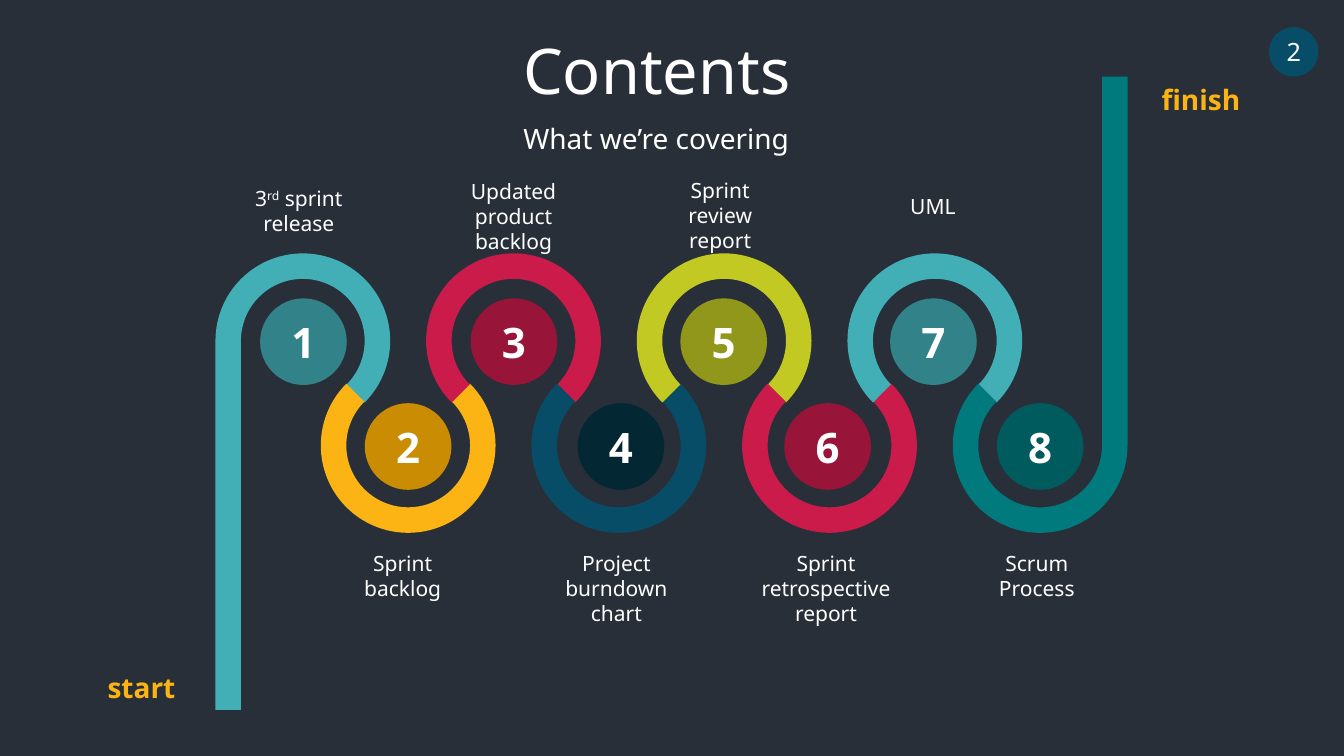
from math import cos, radians, sin, tan

from pptx import Presentation
from pptx.dml.color import RGBColor as RGB
from pptx.enum.shapes import MSO_SHAPE as SHAPE
from pptx.enum.text import MSO_ANCHOR as ANCHOR, MSO_AUTO_SIZE as FIT, PP_ALIGN as ALIGN
from pptx.oxml import parse_xml as from_xml
from pptx.oxml.ns import nsdecls as spaces, qn
from pptx.util import Pt

HEX = {
    "back": "282F39", "white": "FFFFFF", "gold": "FCB414", "sky": "42AFB6",
    "red": "CB1B4A", "blue": "074D67", "lime": "C2C923", "teal": "007A7D",
    "dark sky": "318389", "dark gold": "C98C03", "dark red": "981438",
    "dark blue": "042734", "dark lime": "91971A", "dark teal": "005B5E",
}
BASE = {"name": "Noto Sans", "size": Pt(15), "bold": False}
HEAD = {**BASE, "size": Pt(45)}
LEAD = {**BASE, "size": Pt(20)}
MARK = {**LEAD, "bold": True}
DIGIT = {**BASE, "size": Pt(30), "bold": True}
PAGE = {**BASE, "size": Pt(18)}

# Road rings: first centre, step, rows and radii in points
LEFT, STEP, ROWS = 216.3, 75.24, (243.4, 318.2)
OUTER, INNER = 62.4, 44.2
TURN = 45  # degrees in each curve of a ring
START, FINISH = 507, 54.7  # loose ends of the road
DISC, DISC_ROWS = 61.9, (213.1, 288)

# Ring colour, disc left, label, label left, top, width, height
STEPS = [
    ("sky", 185.8, ["3^rd^ sprint release"], 166.3, 128.9, 94.3, 43.9),
    ("gold", 260.6, ["Sprint", "backlog"], 240.5, 389.5, 94.3, 43.9),
    ("red", 336.2, ["Updated product backlog"], 319.7, 123.8, 94.3, 61.9),
    ("blue", 412.6, ["Project burndown chart"], 393.1, 389.5, 94.3, 61.9),
    ("lime", 486, ["Sprint review report"], 467.3, 123.1, 94.3, 61.9),
    ("red", 560.2, ["Sprint retrospective report"], 535.7, 389.5, 108.7, 61.9),
    ("sky", 635.8, ["UML"], 619.2, 134.6, 94.3, 25.2),
    ("teal", 712.1, ["Scrum Process"], 693.4, 389.5, 94.3, 43.9),
]


def paint(shape, tone):
    shape.fill.solid()
    shape.fill.fore_color.rgb = RGB.from_string(HEX[tone])
    shape.line.fill.background()
    shape.shadow.inherit = False


def write(frame, lines, style, tone="white"):
    """Fill a frame with centred lines; text between carets is raised."""
    for row, line in enumerate(lines):
        para = frame.add_paragraph() if row else frame.paragraphs[0]
        para.alignment = ALIGN.CENTER
        for part, text in enumerate(line.split("^")):
            run = para.add_run()
            run.text = text
            for key, value in style.items():
                setattr(run.font, key, value)
            run.font.color.rgb = RGB.from_string(HEX[tone])
            if part % 2:
                run._r.get_or_add_rPr().set("baseline", "30000")


def add_text(slide, lines, box, style, tone="white"):
    frame = slide.shapes.add_textbox(*map(Pt, box)).text_frame
    frame.word_wrap = True
    frame.auto_size = FIT.SHAPE_TO_FIT_TEXT
    write(frame, lines, style, tone)


def add_disc(slide, text, left, top, size, tone, style, wrap=True):
    disc = slide.shapes.add_shape(SHAPE.OVAL, Pt(left), Pt(top), Pt(size), Pt(size))
    paint(disc, tone)
    disc.text_frame.word_wrap = wrap
    disc.text_frame.vertical_anchor = ANCHOR.MIDDLE
    write(disc.text_frame, [text], style)


def arc(mid, row, size, first, last):
    """List the knots and handles of an arc, three for each curve."""
    pull = 4 / 3 * tan(radians(TURN / 4))
    dots = []
    for angle in range(first, last + 1, TURN):
        c, s = cos(radians(angle)), sin(radians(angle))
        dots += [(mid + size * (c - k * s), row + size * (s + k * c))
                 for k in (-pull, 0, pull)]
    return dots[1:-1]


def bend(lines):
    """Join each three line ends into one curve."""
    for trio in zip(*[iter(lines)] * 3):
        curve = from_xml(f"<a:cubicBezTo {spaces('a')}/>")
        trio[0].addprevious(curve)
        for line in trio:
            curve.append(line[0])
            line.getparent().remove(line)


def add_ring(slide, mid, row, first, last, tone, tail=None):
    """Draw an open ring, with a straight tail at its first end if given."""
    rim = arc(mid, row, OUTER, first, last)
    hole = arc(mid, row, INNER, first, last)[::-1]
    ends = [] if tail is None else [(hole[-1][0], tail), (rim[0][0], tail)]
    dots = [(Pt(x), Pt(y)) for x, y in rim + hole + ends]
    form = slide.shapes.build_freeform(*dots[0])
    form.add_line_segments(dots[1:], close=True)
    ring = form.convert_to_shape()
    lines = list(ring._element.iter(qn("a:lnTo")))
    count = len(rim)
    bend(lines[:count - 1])
    bend(lines[count:2 * count - 1])
    paint(ring, tone)


def main():
    deck = Presentation()
    deck.slide_width, deck.slide_height = Pt(960), Pt(540)
    slide = deck.slides.add_slide(deck.slide_layouts[6])
    slide.background.fill.solid()
    slide.background.fill.fore_color.rgb = RGB.from_string(HEX["back"])

    # Titles
    add_text(slide, ["Contents"], (206.6, 18.7, 524.9, 61.9), HEAD)
    add_text(slide, ["What we’re covering"], (136.1, 83.5, 665.3, 31.7), LEAD)

    # Road: rings open down in the top row, up in the low row
    ends = {0: (180, 405, START), len(STEPS) - 1: (0, 225, FINISH)}
    spans = ((135, 405, None), (-45, 225, None))
    for i, (tone, *_) in enumerate(STEPS):
        first, last, tail = ends.get(i, spans[i % 2])
        add_ring(slide, LEFT + i * STEP, ROWS[i % 2], first, last, tone, tail)

    # Numbers and labels
    for i, (tone, left, lines, *box) in enumerate(STEPS):
        add_disc(slide, str(i + 1), left, DISC_ROWS[i % 2], DISC, "dark " + tone, DIGIT)
        add_text(slide, lines, box, BASE)

    # Ends of the road and page number
    add_text(slide, ["start"], (59, 475.2, 84.2, 31.7), MARK, "gold")
    add_text(slide, ["finish"], (817.9, 55.4, 79.9, 31.7), MARK, "gold")
    add_disc(slide, "2", 906.5, 19.4, 35.3, "blue", PAGE, wrap=False)

    deck.save("out.pptx")


if __name__ == "__main__":
    main()
